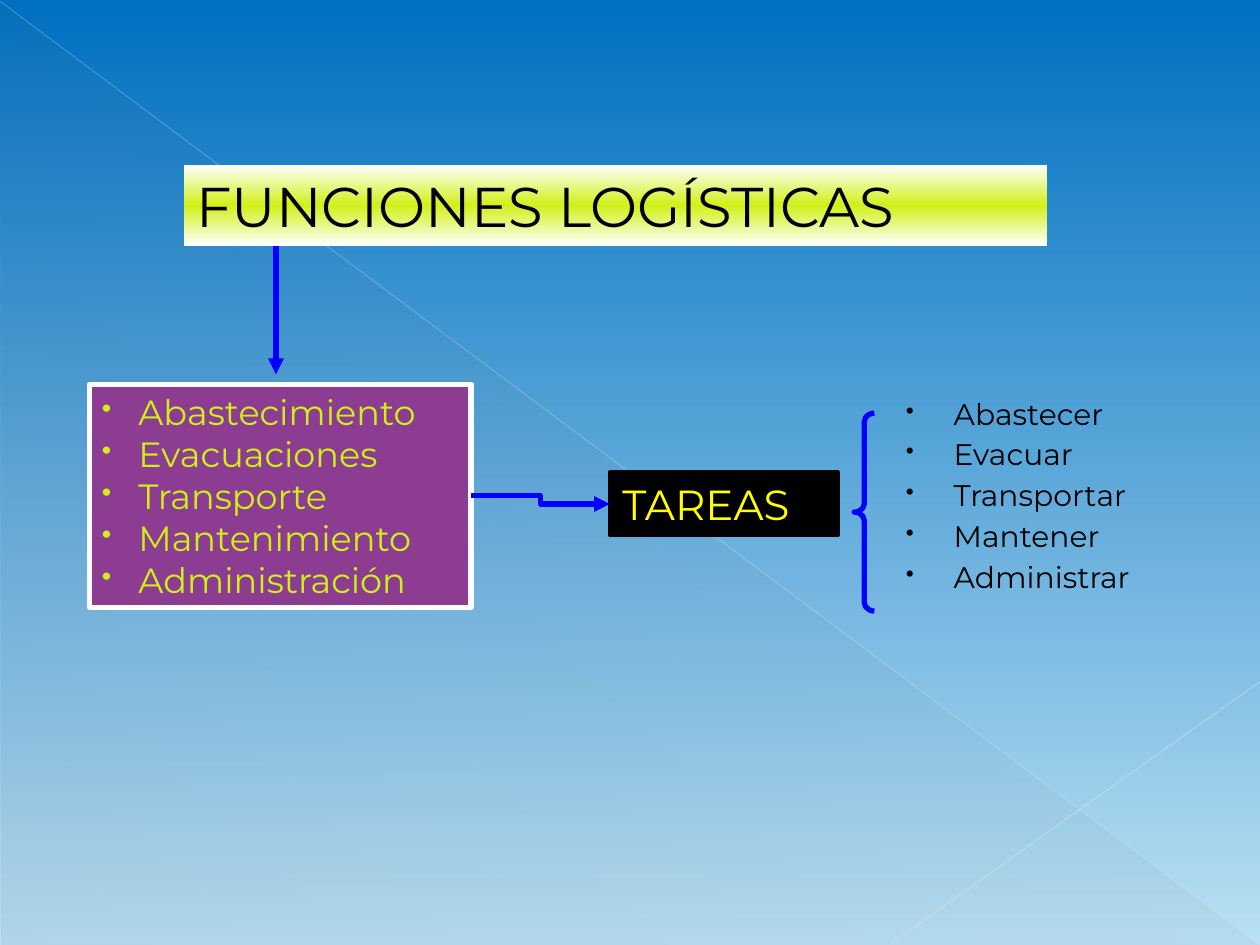
from dataclasses import dataclass

from lxml.etree import SubElement
from pptx import Presentation
from pptx.dml.color import RGBColor
from pptx.enum.shapes import MSO_CONNECTOR, MSO_SHAPE
from pptx.enum.text import MSO_ANCHOR, PP_ALIGN
from pptx.oxml.ns import qn
from pptx.util import Inches, Pt


@dataclass(frozen=True)
class Theme:
    font: str = "Montserrat"
    sky_top: str = "0070C0"
    sky_bottom: str = "B9E0F3"
    haze: str = "646B86"
    diagonal: str = "DDE9EE"
    corner: str = "E1EBF0"
    black: str = "000000"
    white: str = "FFFFFF"
    lime: str = "D1F018"
    purple: str = "8C3D91"
    yellow: str = "FFFF00"
    blue: str = "0000FF"
    title_size: float = 32
    label_size: float = 24
    function_size: float = 20
    task_size: float = 17
    stroke: float = 3


THEME = Theme()
COLUMNS, ROWS = 100, 75
WIDTH, HEIGHT = Inches(10), Inches(7.5)

FUNCTIONS = ["Abastecimiento", "Evacuaciones", "Transporte", "Mantenimiento", "Administración"]
TASKS = ["Abastecer", "Evacuar", "Transportar", "Mantener", "Administrar"]


def place(column, row):
    return round(WIDTH * column / COLUMNS), round(HEIGHT * row / ROWS)


def set_alpha(color, percent):
    SubElement(color, qn("a:alpha"), val=str(percent * 1000))


def paint_gradient(owner, stops, angle):
    owner.fill.gradient()
    owner.fill.gradient_angle = 360 - angle
    stop_list = owner.element.find(".//" + qn("a:gsLst"))
    for old_stop in list(stop_list):
        stop_list.remove(old_stop)
    for position, color, alpha in stops:
        stop = SubElement(stop_list, qn("a:gs"), pos=str(position * 1000))
        set_alpha(SubElement(stop, qn("a:srgbClr"), val=color), alpha)


def add_outline(slide, kind, left, top, width, height, fill=None, line=None, weight=THEME.stroke):
    outline = slide.shapes.add_shape(kind, *place(left, top), *place(width, height))
    outline.shadow.inherit = False
    if fill:
        outline.fill.solid()
        outline.fill.fore_color.rgb = RGBColor.from_string(fill)
    else:
        outline.fill.background()
    if line:
        outline.line.color.rgb = RGBColor.from_string(line)
        outline.line.width = Pt(weight)
    else:
        outline.line.fill.background()
    return outline


def write(holder, lines, size, color, indent=0, line_spacing=None, space_before=0):
    frame = holder.text_frame
    frame.word_wrap = True
    frame.vertical_anchor = MSO_ANCHOR.TOP
    frame.text = "\n".join(lines)
    for paragraph in frame.paragraphs:
        paragraph.alignment = PP_ALIGN.LEFT
        paragraph.line_spacing = line_spacing
        paragraph.space_before = Pt(space_before)
        if indent:
            add_bullet(paragraph, indent)
        paragraph.font.name = THEME.font
        paragraph.font.size = Pt(size)
        paragraph.font.color.rgb = RGBColor.from_string(color)


def add_bullet(paragraph, indent):
    hanging, _ = place(indent, 0)
    properties = paragraph._p.get_or_add_pPr()
    properties.set("marL", str(hanging))
    properties.set("indent", str(-hanging))
    SubElement(properties, qn("a:buSzPct"), val="80000")
    SubElement(properties, qn("a:buChar"), char="•")


def add_line(slide, start, end, color, weight, kind=MSO_CONNECTOR.STRAIGHT, alpha=100, arrow=False):
    line = slide.shapes.add_connector(kind, *place(*start), *place(*end))
    line.line.color.rgb = RGBColor.from_string(color)
    line.line.width = Pt(weight)
    outline = line.line._get_or_add_ln()
    set_alpha(outline.find(".//" + qn("a:srgbClr")), alpha)
    if arrow:
        SubElement(outline, qn("a:tailEnd"), type="triangle")
    SubElement(line.element.spPr, qn("a:effectLst"))
    return line


def add_backdrop(slide):
    paint_gradient(slide.background, [(0, THEME.sky_top, 100), (100, THEME.sky_bottom, 100)], 90)
    haze = add_outline(slide, MSO_SHAPE.RIGHT_TRIANGLE, 0.1, 0.2, 99.9, 74.8)
    paint_gradient(haze, [(0, THEME.haze, 1), (100, THEME.haze, 10)], 133)
    add_line(slide, (0, 0.1), (99.9, 74.9), THEME.diagonal, 0.4, alpha=35)
    add_line(slide, (100, 54.1), (70.7, 74.9), THEME.corner, 0.48, alpha=45)


def add_title(slide):
    title = add_outline(slide, MSO_SHAPE.RECTANGLE, 14.6, 13.1, 68.5, 6.4)
    paint_gradient(title, [(0, THEME.white, 100), (50, THEME.lime, 100), (100, THEME.white, 100)], 90)
    write(title, ["FUNCIONES LOGÍSTICAS"], THEME.title_size, THEME.black)


def add_functions(slide):
    functions = add_outline(slide, MSO_SHAPE.RECTANGLE, 7.1, 30.5, 30.3, 17.7,
                            THEME.purple, THEME.white)
    write(functions, FUNCTIONS, THEME.function_size, THEME.lime, indent=2.9)
    return functions


def add_tasks(slide):
    label = add_outline(slide, MSO_SHAPE.RECTANGLE, 48.4, 37.5, 18.1, 5,
                        THEME.black, THEME.black, 2.25)
    write(label, ["TAREAS"], THEME.label_size, THEME.yellow)
    brace = add_outline(slide, MSO_SHAPE.LEFT_BRACE, 67.8, 32.8, 1.6, 15.7, line=THEME.blue)
    brace.adjustments[0] = 0.42
    tasks = slide.shapes.add_textbox(*place(70.9, 31.2), *place(25.5, 18.9))
    write(tasks, TASKS, THEME.task_size, THEME.black, indent=3.8, line_spacing=0.9, space_before=5)
    return label


def main():
    presentation = Presentation()
    presentation.slide_width, presentation.slide_height = WIDTH, HEIGHT
    slide = presentation.slides.add_slide(presentation.slide_layouts[6])
    add_backdrop(slide)
    add_title(slide)
    functions = add_functions(slide)
    label = add_tasks(slide)
    add_line(slide, (21.9, 19.5), (21.9, 29.7), THEME.blue, THEME.stroke, arrow=True)
    link = add_line(slide, (37.4, 39.5), (48.4, 40), THEME.blue, THEME.stroke,
                    MSO_CONNECTOR.ELBOW, arrow=True)
    link.begin_connect(functions, 3)
    link.end_connect(label, 1)
    presentation.save("out.pptx")


if __name__ == "__main__":
    main()
